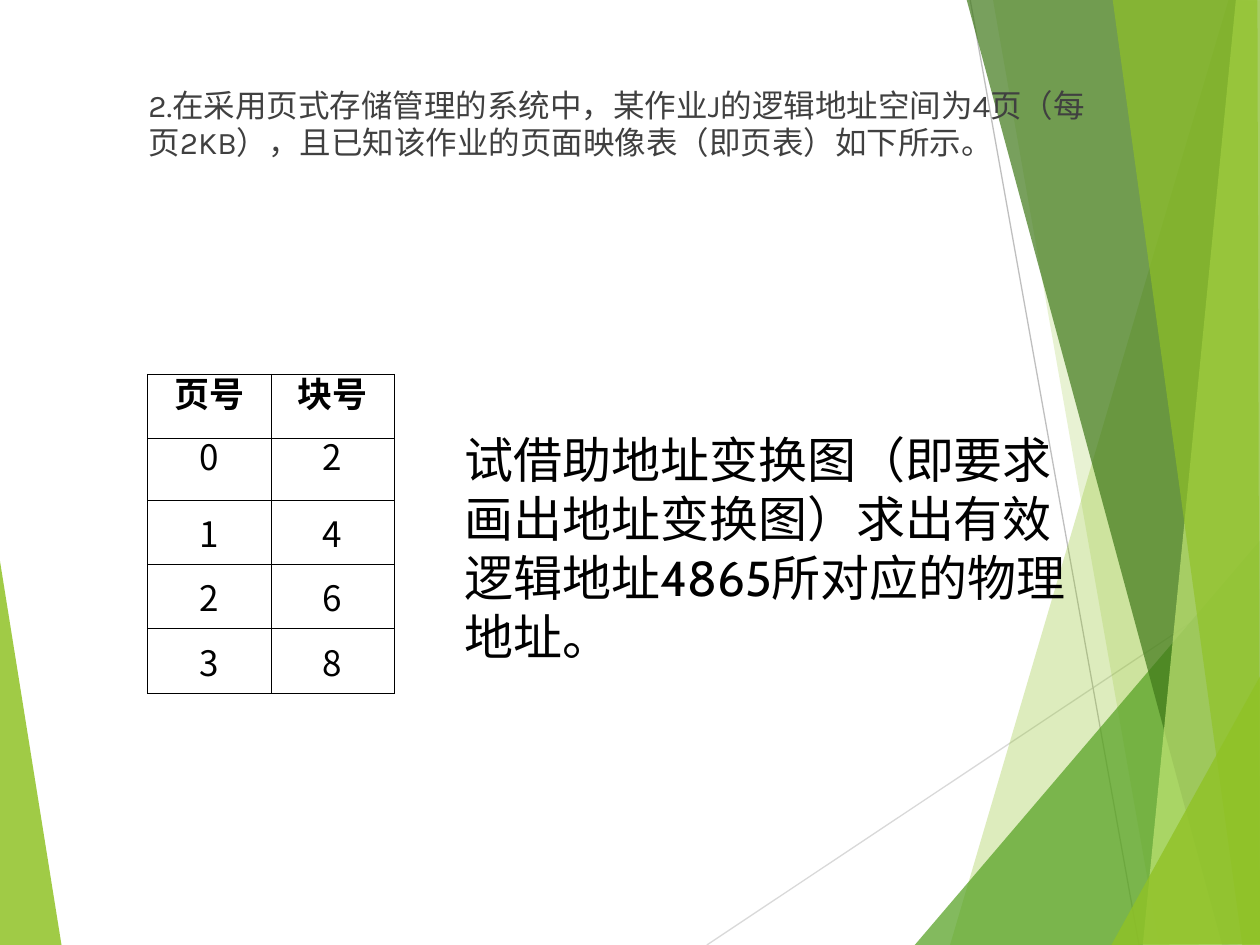
from typing import NamedTuple

from lxml import etree
from pptx import Presentation
from pptx.dml.color import RGBColor
from pptx.enum.shapes import MSO_CONNECTOR
from pptx.enum.text import MSO_ANCHOR, MSO_AUTO_SIZE, PP_ALIGN
from pptx.oxml.ns import qn
from pptx.util import Inches, Pt

STRAIGHT = MSO_CONNECTOR.STRAIGHT
CENTER = PP_ALIGN.CENTER
MIDDLE = MSO_ANCHOR.MIDDLE
GROW = MSO_AUTO_SIZE.SHAPE_TO_FIT_TEXT

LIME = RGBColor(0x90, 0xC2, 0x26)
GREEN = RGBColor(0x54, 0xA0, 0x21)
DARK_GREEN = RGBColor(0x3F, 0x78, 0x19)
PALE_LIME = RGBColor(0xC0, 0xE4, 0x74)
LIGHT_GRAY = RGBColor(0xD9, 0xD9, 0xD9)
MID_GRAY = RGBColor(0xBF, 0xBF, 0xBF)
DARK_GRAY = RGBColor(0x40, 0x40, 0x40)
BLACK = RGBColor(0, 0, 0)

Point = tuple[float, float]


class Facet(NamedTuple):
    color: RGBColor
    opacity: int  # percent
    points: list[Point]


class Ray(NamedTuple):
    color: RGBColor
    start: Point
    end: Point


class TextBox(NamedTuple):
    text: str
    left: float
    top: float
    width: float
    height: float
    font: str
    size: float
    color: RGBColor
    indent: float = 0


LEFT_FACET = Facet(LIME, 85, [(-0.01, 4.39), (0.49, 7.51), (-0.01, 7.5)])
RAYS = [
    Ray(LIGHT_GRAY, (5.61, 7.5), (10.01, 4.57)),
    Ray(MID_GRAY, (7.7, 0), (9.04, 7.5)),
]
RIGHT_FACETS = [
    Facet(LIME, 30, [(9.75, 0), (7.54, 7.5), (10.02, 7.51), (10.01, 0.01)]),
    Facet(LIME, 20, [(7.88, -0.01), (9.2, 7.5), (10.01, 7.5), (10.01, -0.01)]),
    Facet(GREEN, 72, [(7.26, 7.5), (10, 4.29), (10.01, 7.5)]),
    Facet(DARK_GREEN, 70, [(7.67, -0.01), (9.7, 7.5), (10.01, 7.49), (10.01, -0.01)]),
    Facet(PALE_LIME, 70, [(9.81, -0.01), (9.07, 7.5), (10.01, 7.5), (10, -0.01)]),
    Facet(LIME, 65, [(8.83, -0.01), (9.86, 7.5), (10, 7.5), (9.98, -0.01)]),
    Facet(LIME, 80, [(8.82, 7.5), (10.01, 5.35), (10.01, 7.49)]),
]

QUESTION = TextBox(
    "2.在采用页式存储管理的系统中，某作业J的逻辑地址空间为4页（每页2KB），"
    "且已知该作业的页面映像表（即页表）如下所示。",
    0.7, 0.63, 8.05, 1.56, "Karla", 18, DARK_GRAY, indent=0.38)
TASK = TextBox(
    "试借助地址变换图（即要求画出地址变换图）求出有效逻辑地址4865所对应的物理地址。",
    3.59, 3.36, 5, 1.97, "Cabin", 28, BLACK)

PAGE_TABLE = [("页号", "块号"), ("0", "2"), ("1", "4"), ("2", "6"), ("3", "8")]
ROW_HEIGHTS = [0.51, 0.49, 0.51, 0.51, 0.51]
COL_WIDTH = 0.98
TIGHT_ROWS = 2  # the first rows have exact line spacing


def add_facet(slide, facet: Facet) -> None:
    points = [(Inches(x), Inches(y)) for x, y in facet.points]
    builder = slide.shapes.build_freeform(*points[0])
    builder.add_line_segments(points[1:], close=True)
    sp = builder.convert_to_shape()
    sp.shadow.inherit = False
    sp.line.fill.background()
    sp.fill.solid()
    sp.fill.fore_color.rgb = facet.color
    color = sp._element.spPr.find(qn("a:solidFill"))[0]
    etree.SubElement(color, qn("a:alpha"), val=str(facet.opacity * 1000))


def add_ray(slide, ray: Ray) -> None:
    ends = [Inches(v) for v in (*ray.start, *ray.end)]
    line = slide.shapes.add_connector(STRAIGHT, *ends)
    line.line.color.rgb = ray.color
    line.line.width = Pt(0.75)
    etree.SubElement(line._element.spPr, qn("a:effectLst"))


def style_run(r, font: str, size: float, color: RGBColor, bold: bool = False) -> None:
    r.font.name = font
    r.font.size = Pt(size)
    r.font.color.rgb = color
    r.font.bold = bold


def add_text(slide, box: TextBox):
    area = [Inches(v) for v in (box.left, box.top, box.width, box.height)]
    sp = slide.shapes.add_textbox(*area)
    tf = sp.text_frame
    tf.word_wrap = True
    tf.text = box.text
    p = tf.paragraphs[0]
    if box.indent:
        p._p.get_or_add_pPr().set("marL", str(Inches(box.indent)))
    style_run(p.runs[0], box.font, box.size, box.color)
    return sp


def add_borders(cell) -> None:
    tcPr = cell._tc.get_or_add_tcPr()
    for i, side in enumerate(("a:lnL", "a:lnR", "a:lnT", "a:lnB")):
        ln = etree.Element(qn(side), w=str(Pt(0.45)))
        fill = etree.SubElement(ln, qn("a:solidFill"))
        etree.SubElement(fill, qn("a:srgbClr"), val=str(BLACK))
        tcPr.insert(i, ln)


def add_page_table(slide) -> None:
    rows, cols = len(PAGE_TABLE), len(PAGE_TABLE[0])
    table = slide.shapes.add_table(
        rows, cols, Inches(1.17), Inches(2.97),
        Inches(COL_WIDTH * cols), Inches(sum(ROW_HEIGHTS))).table
    table.first_row = table.horz_banding = False
    for col in table.columns:
        col.width = Inches(COL_WIDTH)
    for i, (values, height) in enumerate(zip(PAGE_TABLE, ROW_HEIGHTS)):
        table.rows[i].height = Inches(height)
        for j, value in enumerate(values):
            cell = table.cell(i, j)
            cell.text = value
            cell.vertical_anchor = MIDDLE
            cell.margin_left = cell.margin_right = Inches(0.08)
            cell.margin_top = cell.margin_bottom = Inches(0.05)
            cell.fill.background()
            add_borders(cell)
            p = cell.text_frame.paragraphs[0]
            p.alignment = CENTER
            if i < TIGHT_ROWS:
                p.line_spacing = Pt(13)
            header = i == 0
            font = "Calibri" if header else "Noto Sans CJK SC"
            style_run(p.runs[0], font, 20, BLACK, bold=header)


def main() -> None:
    prs = Presentation()
    prs.slide_width, prs.slide_height = Inches(10), Inches(7.5)
    slide = prs.slides.add_slide(prs.slide_layouts[6])
    add_facet(slide, LEFT_FACET)
    for ray in RAYS:
        add_ray(slide, ray)
    for facet in RIGHT_FACETS:
        add_facet(slide, facet)
    add_text(slide, QUESTION)
    add_page_table(slide)
    add_text(slide, TASK).text_frame.auto_size = GROW
    prs.save("out.pptx")


if __name__ == "__main__":
    main()
